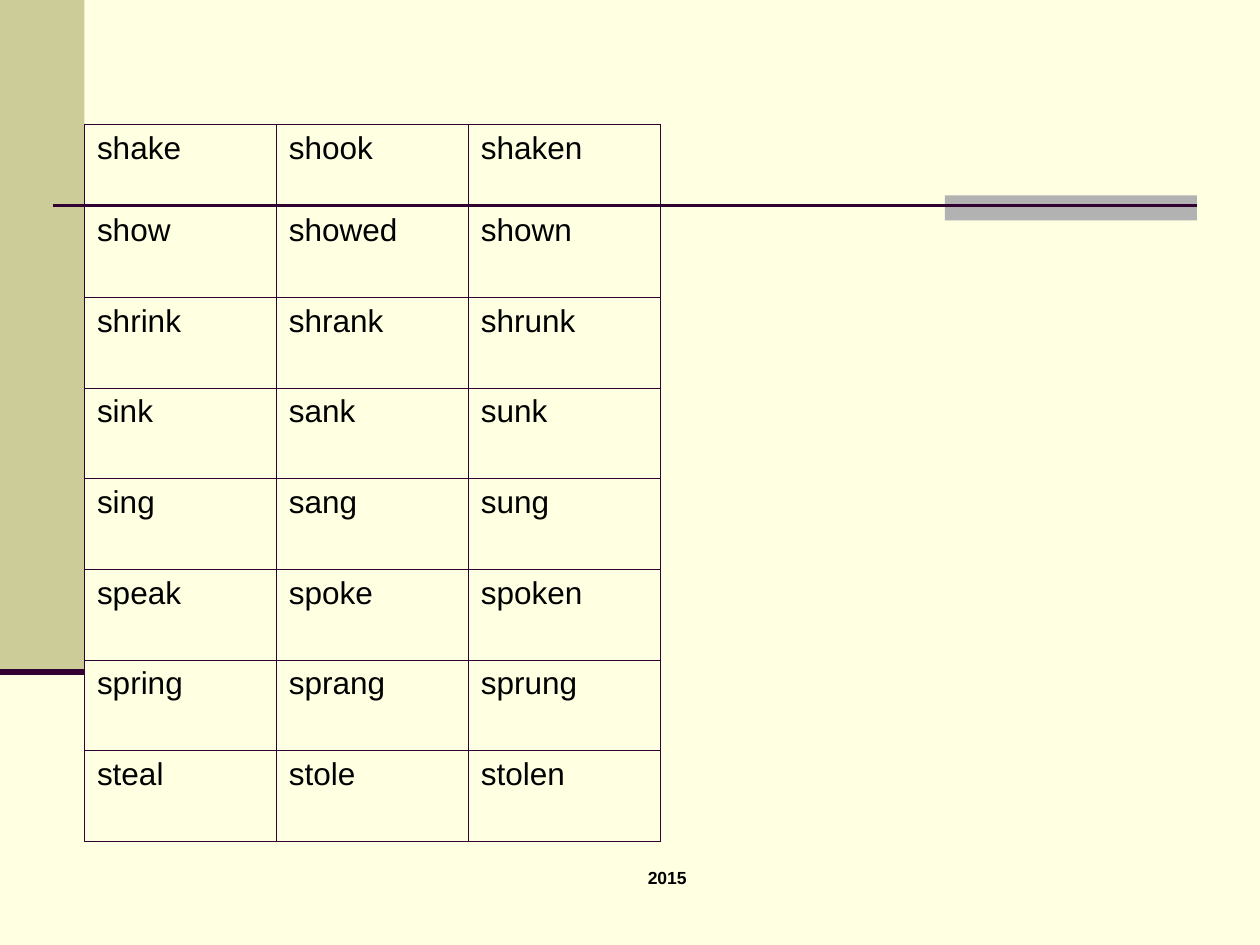
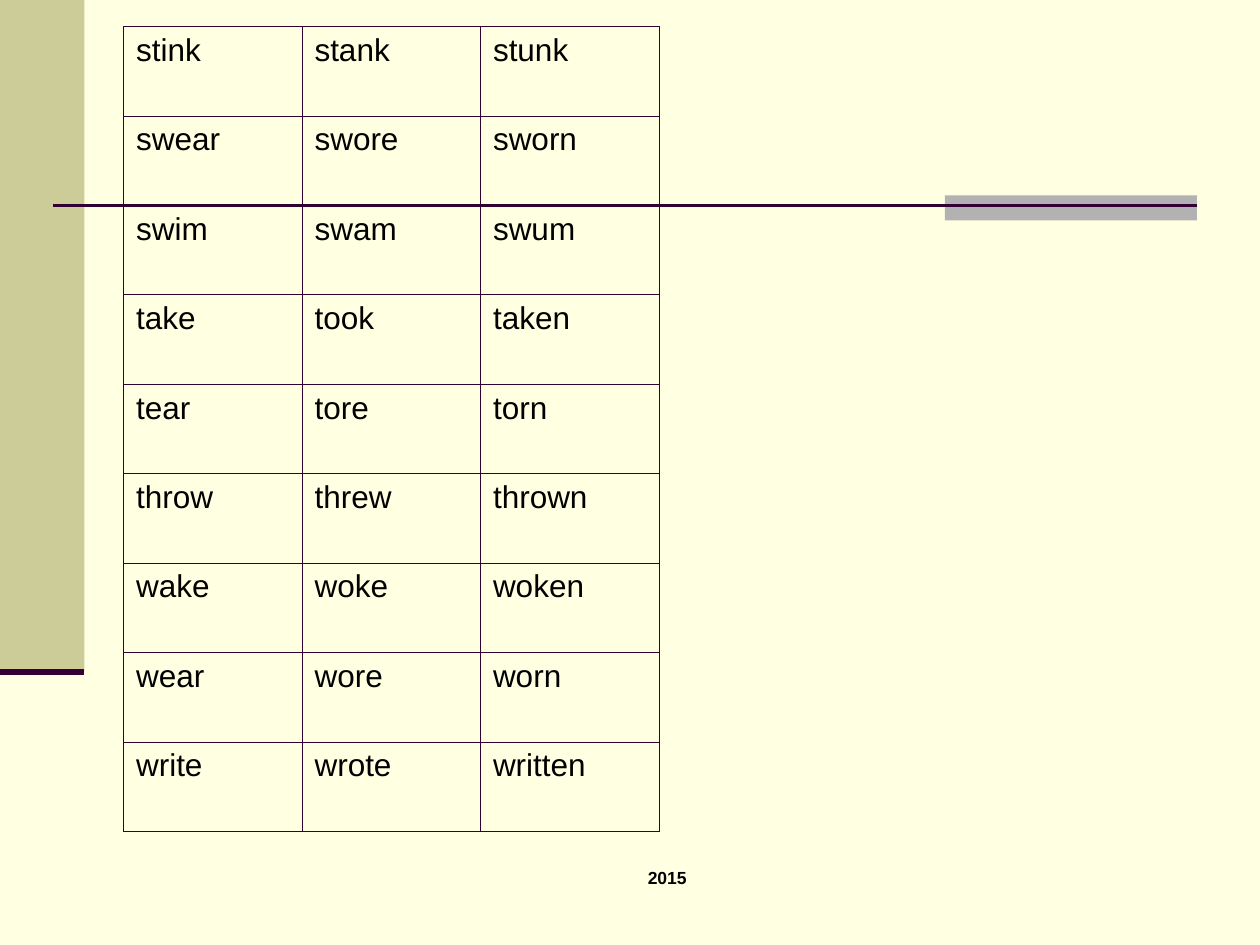
"""Build two slides of irregular verb tables on a shared banded background."""
from lxml.etree import SubElement
from pptx import Presentation
from pptx.dml.color import RGBColor
from pptx.enum.shapes import MSO_CONNECTOR, MSO_SHAPE
from pptx.enum.text import PP_ALIGN
from pptx.oxml import parse_xml
from pptx.oxml.ns import nsdecls, qn
from pptx.util import Inches, Pt

THEME = {
    "page": RGBColor.from_string("FFFFE1"),
    "band": RGBColor.from_string("CCCC99"),
    "accent": RGBColor.from_string("B2B2B2"),
    "rule": RGBColor.from_string("330033"),
    "text": RGBColor.from_string("000000"),
    "font": "Arial",
    "verb_size": Pt(18),
    "footer_size": Pt(10),
    "border": Pt(0.45),
}
FOOTER = "2015"

BANDS = [
    ((0, 0, 0.67, 5.33), "band"),
    ((7.5, 1.55, 2, 0.2), "accent"),
]
RULES = [
    ((0.42, 1.63, 9.5, 1.63), 1.5),
    ((0, 5.33, 0.67, 5.33), 3.5),
]
VERB_TABLES = [
    {
        "left": 0.67, "top": 0.99, "width": 4.57, "first_row": 0.65, "row": 0.72,
        "verbs": [
            ("shake", "shook", "shaken"),
            ("show", "showed", "shown"),
            ("shrink", "shrank", "shrunk"),
            ("sink", "sank", "sunk"),
            ("sing", "sang", "sung"),
            ("speak", "spoke", "spoken"),
            ("spring", "sprang", "sprung"),
            ("steal", "stole", "stolen"),
        ],
    },
    {
        "left": 0.98, "top": 0.21, "width": 4.25, "first_row": 0.71, "row": 0.71,
        "verbs": [
            ("stink", "stank", "stunk"),
            ("swear", "swore", "sworn"),
            ("swim", "swam", "swum"),
            ("take", "took", "taken"),
            ("tear", "tore", "torn"),
            ("throw", "threw", "thrown"),
            ("wake", "woke", "woken"),
            ("wear", "wore", "worn"),
            ("write", "wrote", "written"),
        ],
    },
]


def write(p, text, **font):
    r = p.add_run()
    r.text = text
    r.font.color.rgb = THEME["text"]
    for name, value in {"name": THEME["font"], **font}.items():
        setattr(r.font, name, value)


def add_borders(cell):
    tcPr = cell._tc.get_or_add_tcPr()
    for side in ("lnL", "lnR", "lnT", "lnB"):
        tcPr.append(parse_xml(
            f'<a:{side} {nsdecls("a")} w="{THEME["border"]}"><a:solidFill>'
            f'<a:srgbClr val="{THEME["rule"]}"/></a:solidFill></a:{side}>'))


prs = Presentation()
prs.slide_width, prs.slide_height = Inches(10), Inches(7.5)
fill = prs.slide_master.background.fill
fill.solid()
fill.fore_color.rgb = THEME["page"]

for spec_table in VERB_TABLES:
    s = prs.slides.add_slide(prs.slide_layouts[6])

    for box, color in BANDS:
        sp = s.shapes.add_shape(MSO_SHAPE.RECTANGLE, *map(Inches, box))
        sp.shadow.inherit = False
        sp.fill.solid()
        sp.fill.fore_color.rgb = THEME[color]
        sp.line.fill.background()

    for ends, weight in RULES:
        ln = s.shapes.add_connector(MSO_CONNECTOR.STRAIGHT, *map(Inches, ends))
        ln.line.color.rgb = THEME["rule"]
        ln.line.width = Pt(weight)
        SubElement(ln._element.spPr, qn("a:effectLst"))

    tf = s.shapes.add_textbox(*map(Inches, (3.67, 6.83, 3.25, 0.5))).text_frame
    tf.word_wrap = True
    p = tf.paragraphs[0]
    p.alignment = PP_ALIGN.CENTER
    write(p, FOOTER, size=THEME["footer_size"], bold=True)

    verbs = spec_table["verbs"]
    heights = [spec_table["first_row"]] + [spec_table["row"]] * (len(verbs) - 1)
    box = (spec_table["left"], spec_table["top"], spec_table["width"], sum(heights))
    tbl = s.shapes.add_table(len(verbs), 3, *map(Inches, box)).table
    tbl.first_row = tbl.horz_banding = False
    for row, height, forms in zip(tbl.rows, heights, verbs):
        row.height = Inches(height)
        for cell, form in zip(row.cells, forms):
            add_borders(cell)
            cell.fill.background()
            p = cell.text_frame.paragraphs[0]
            p.space_before = Pt(4.5)
            write(p, form, size=THEME["verb_size"])

prs.save("out.pptx")
